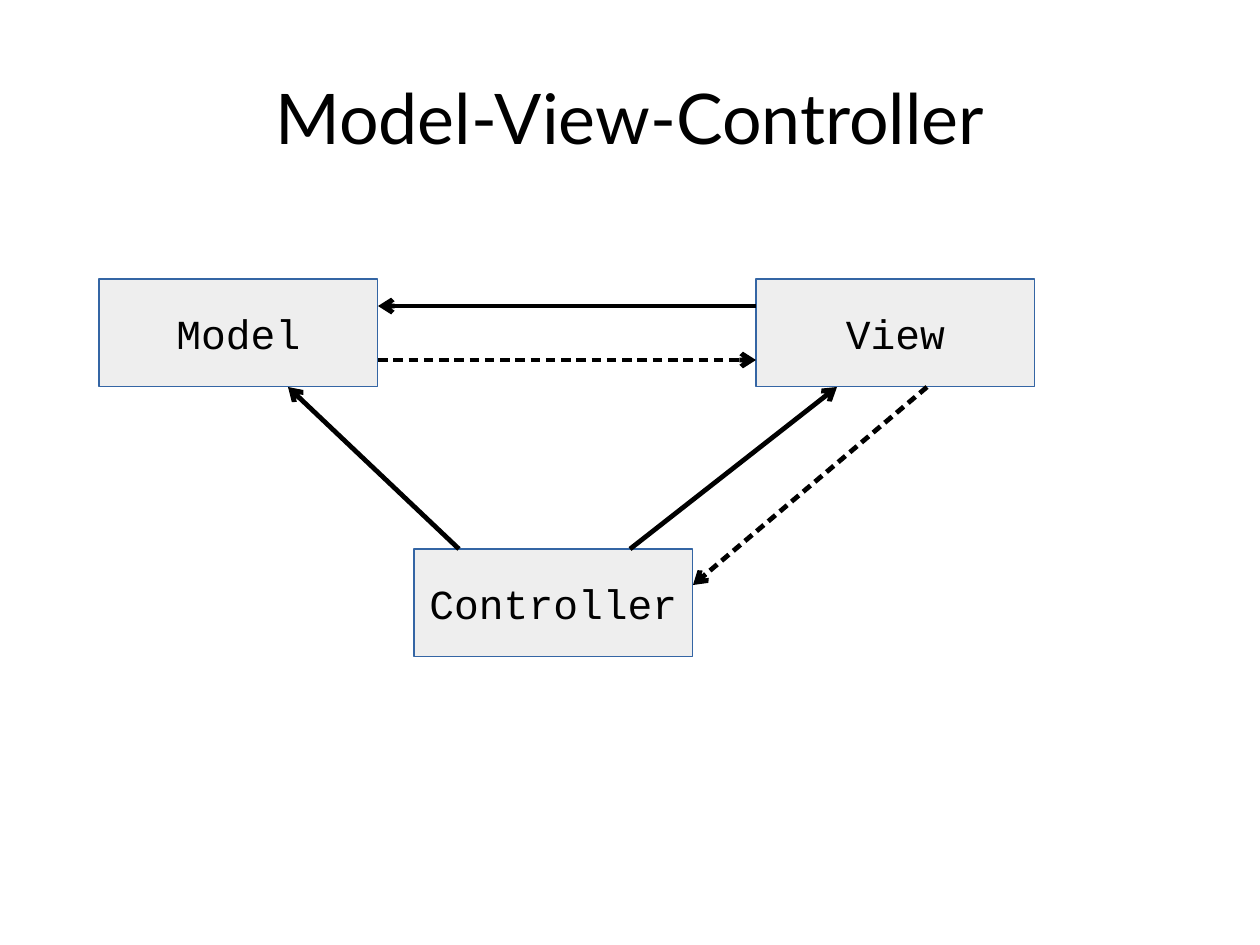
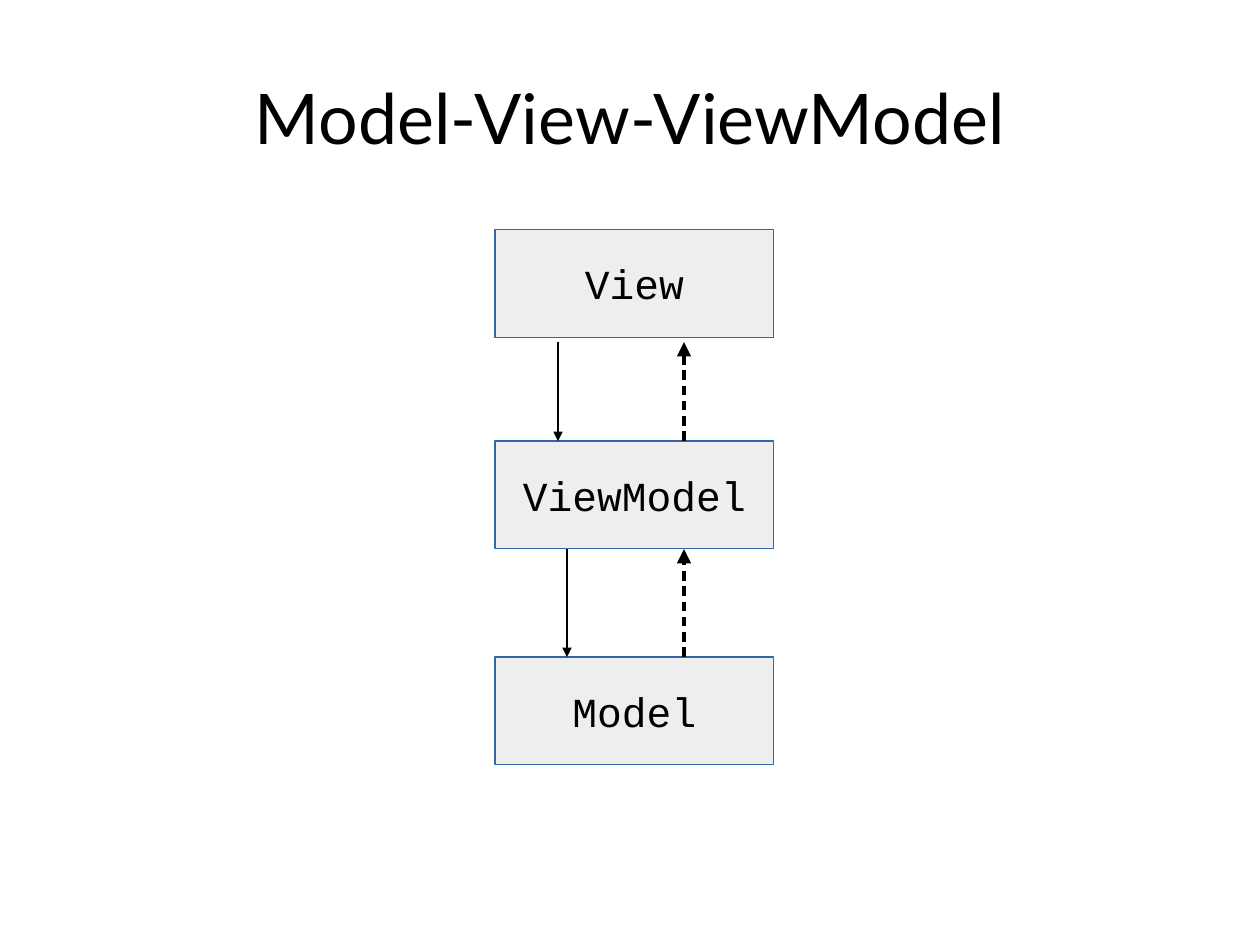
from lxml import etree
from pptx import Presentation
from pptx.dml.color import RGBColor
from pptx.enum.shapes import MSO_CONNECTOR, MSO_SHAPE
from pptx.enum.text import MSO_ANCHOR, PP_ALIGN
from pptx.oxml.ns import qn
from pptx.util import Cm, Pt

RECTANGLE = MSO_SHAPE.RECTANGLE
STRAIGHT = MSO_CONNECTOR.STRAIGHT
MIDDLE = MSO_ANCHOR.MIDDLE
CENTER = PP_ALIGN.CENTER

COLORS = {"text": "000000", "box": "EEEEEE", "border": "3465A4", "arrow": "000000"}
TITLE_FONT, TITLE_SIZE = "Lato", 44
BOX_FONT, BOX_SIZE = "Courier New", 26
BOX_WIDTH, BOX_HEIGHT = 6.2, 2.4
TITLE_ONLY = 5

# Centimetres. Boxes: text, left, top. Arrows: start, end, points wide, dashed.
top_row, bottom_row = 6.2, 12.2
model_left, controller_left, view_left = 2.2, 9.2, 16.8
model_right = model_left + BOX_WIDTH
controller_right = controller_left + BOX_WIDTH
top_row_end = top_row + BOX_HEIGHT

column = 11
view_top, viewmodel_top, model_top = 5.1, 9.8, 14.6
viewmodel_end = viewmodel_top + BOX_HEIGHT
view_end = view_top + BOX_HEIGHT + 0.1
up_x = 15.2

SLIDES = [
    {
        "title": "Model-View-Controller",
        "head": "arrow",
        "boxes": [
            ("Model", model_left, top_row),
            ("Controller", controller_left, bottom_row),
            ("View", view_left, top_row),
        ],
        "arrows": [
            ((view_left, 6.8), (model_right, 6.8), 3, False),
            ((model_right, 8), (view_left, 8), 3, True),
            ((10.2, bottom_row), (6.4, top_row_end), 3, False),
            ((14, bottom_row), (18.6, top_row_end), 3, False),
            ((20.6, top_row_end), (controller_right, 13), 3, True),
        ],
    },
    {
        "title": "Model-View-ViewModel",
        "head": "triangle",
        "boxes": [
            ("Model", column, model_top),
            ("ViewModel", column, viewmodel_top),
            ("View", column, view_top),
        ],
        "arrows": [
            ((12.4, view_end), (12.4, viewmodel_top), 1.5, False),
            ((12.6, viewmodel_end), (12.6, model_top), 1.5, False),
            ((up_x, model_top), (up_x, viewmodel_end), 3, True),
            ((up_x, viewmodel_top), (up_x, view_end), 3, True),
        ],
    },
]


def write_centered(shape, text, font, size):
    frame = shape.text_frame
    frame.vertical_anchor = MIDDLE
    para = frame.paragraphs[0]
    para.alignment = CENTER
    span = para.add_run()
    span.text = text
    span.font.name = font
    span.font.size = Pt(size)
    span.font.color.rgb = RGBColor.from_string(COLORS["text"])


def add_arrow(page, start, end, width, dashed, head):
    arrow = page.shapes.add_connector(STRAIGHT, *[Cm(value) for value in start + end])
    arrow.line.color.rgb = RGBColor.from_string(COLORS["arrow"])
    arrow.line.width = Pt(width)
    properties = arrow.line._get_or_add_ln()
    if dashed:
        pattern = etree.SubElement(properties, qn("a:custDash"))
        etree.SubElement(pattern, qn("a:ds"), d="200000", sp="120000")
    etree.SubElement(properties, qn("a:tailEnd"), type=head, w="med", len="med")
    etree.SubElement(properties.getparent(), qn("a:effectLst"))


deck = Presentation()
deck.slide_width, deck.slide_height = Cm(28), Cm(21)

for content in SLIDES:
    page = deck.slides.add_slide(deck.slide_layouts[TITLE_ONLY])

    title = page.shapes.title
    title.left, title.top, title.width, title.height = Cm(1.4), Cm(0.84), Cm(25.2), Cm(3.5)
    frame = title.text_frame
    frame.margin_left = frame.margin_right = frame.margin_top = frame.margin_bottom = 0
    write_centered(title, content["title"], TITLE_FONT, TITLE_SIZE)

    for text, left, top in content["boxes"]:
        box = page.shapes.add_shape(RECTANGLE, Cm(left), Cm(top), Cm(BOX_WIDTH), Cm(BOX_HEIGHT))
        box.shadow.inherit = False
        box.fill.solid()
        box.fill.fore_color.rgb = RGBColor.from_string(COLORS["box"])
        box.line.color.rgb = RGBColor.from_string(COLORS["border"])
        box.line.width = Pt(0)
        box.text_frame.word_wrap = False
        write_centered(box, text, BOX_FONT, BOX_SIZE)

    for start, end, width, dashed in content["arrows"]:
        add_arrow(page, start, end, width, dashed, content["head"])

deck.save("out.pptx")
